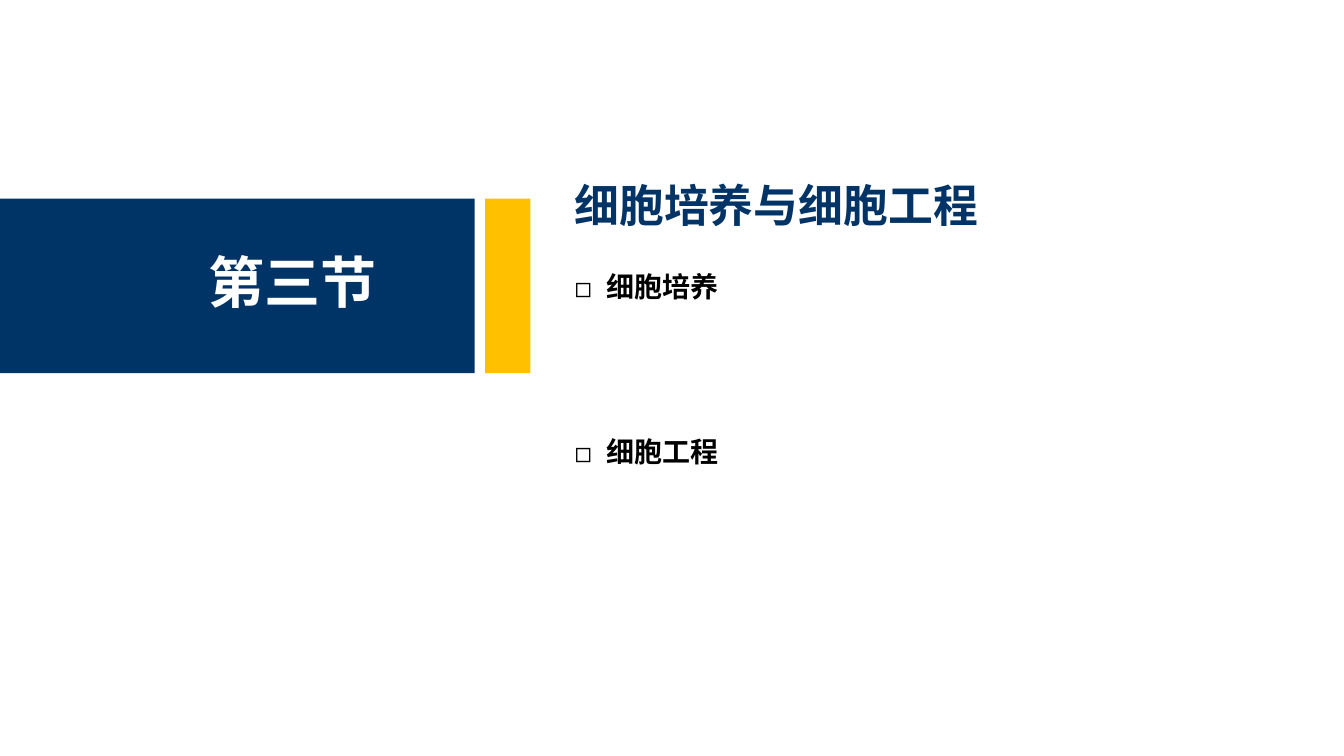
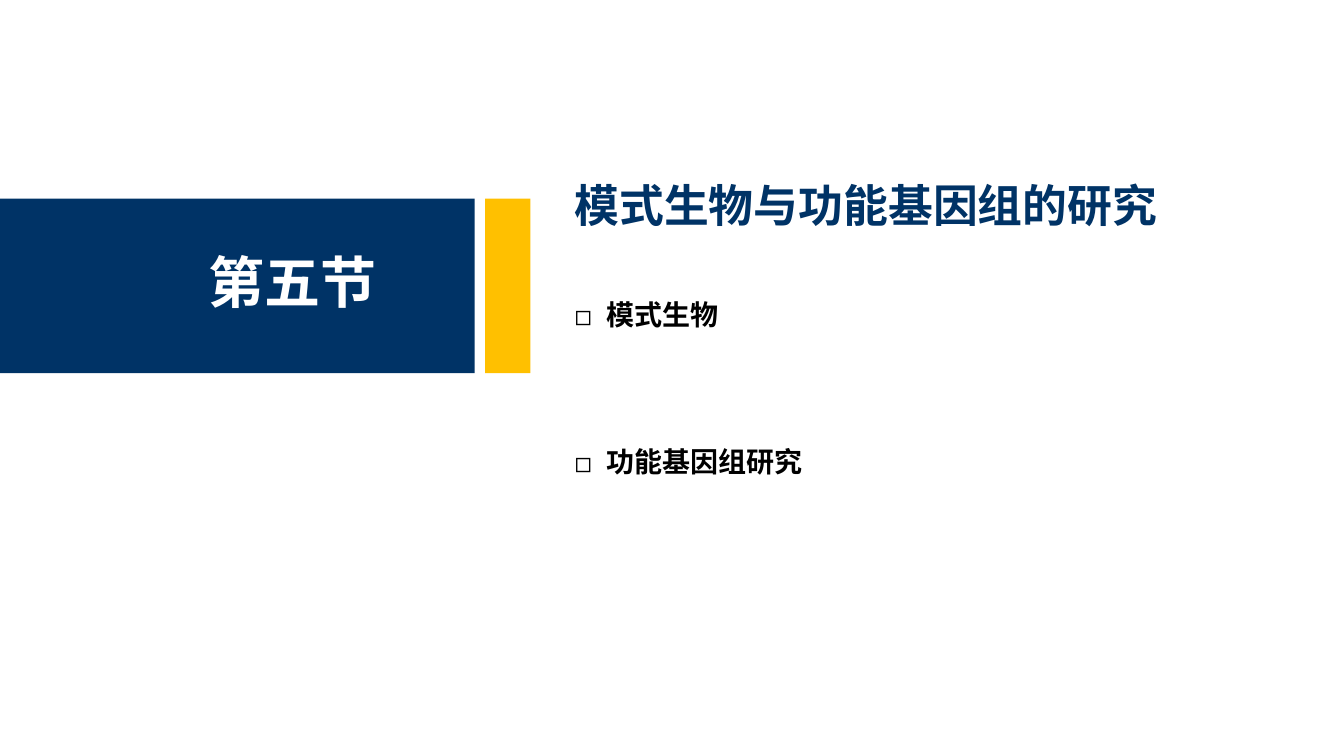
from dataclasses import dataclass

from lxml.etree import SubElement
from pptx import Presentation
from pptx.dml.color import RGBColor as RGB
from pptx.enum.shapes import MSO_SHAPE as SHAPE
from pptx.enum.text import MSO_ANCHOR as ANCHOR, MSO_AUTO_SIZE as AUTO, PP_ALIGN as ALIGN
from pptx.oxml.ns import qn
from pptx.util import Pt

SECTIONS = [
    {"label": "第三节", "title": "细胞培养与细胞工程",
     "topics": ["细胞培养", "细胞工程"], "top": 192.3, "gap": 93.8},
    {"label": "第五节", "title": "模式生物与功能基因组的研究",
     "topics": ["模式生物", "功能基因组研究"], "top": 212.6, "gap": 80.7},
]


@dataclass(frozen=True)
class Theme:
    font: str = "Noto Sans CJK SC"
    navy: RGB = RGB(0x00, 0x33, 0x66)
    gold: RGB = RGB(0xFF, 0xC0, 0x00)
    black: RGB = RGB(0x00, 0x00, 0x00)
    white: RGB = RGB(0xFF, 0xFF, 0xFF)
    label_size: int = 40
    title_size: int = 32
    topic_size: int = 20
    bullet: str = "◻"
    indent: float = 22.5


T = Theme()
BAND_TOP, BAND_HEIGHT = 141.8, 124.7
BANDS = [(0, 339, T.navy), (346.5, 32.3, T.gold)]
LABEL_BOX = (149, 168, 122, 66)
TITLE_BOX = (410.4, 119, 480, 54)
TOPIC_LEFT, TOPIC_WIDTH, TOPIC_HEIGHT = 410.4, 480, 170


def place(sp, left, top, width, height):
    sp.left, sp.top, sp.width, sp.height = map(Pt, (left, top, width, height))


def set_frame(sp, anchor):
    tf = sp.text_frame
    tf.word_wrap = True
    tf.auto_size = AUTO.NONE
    tf.vertical_anchor = anchor
    tf.margin_left = tf.margin_right = tf.margin_top = tf.margin_bottom = 0
    return tf


def add_run(p, text, size, color):
    p.alignment = ALIGN.LEFT
    r = p.add_run()
    r.text = text
    r.font.size = Pt(size)
    r.font.bold = True
    r.font.color.rgb = color
    r.font.name = T.font
    SubElement(r.font._element, qn("a:ea"), typeface=T.font)


def add_bands(s):
    for left, width, color in BANDS:
        sp = s.shapes.add_shape(SHAPE.RECTANGLE, Pt(left), Pt(BAND_TOP),
                                Pt(width), Pt(BAND_HEIGHT))
        sp.shadow.inherit = False
        sp.fill.solid()
        sp.fill.fore_color.rgb = color
        sp.line.fill.background()


def add_label(s, text):
    sp = s.shapes.add_textbox(*map(Pt, LABEL_BOX))
    tf = set_frame(sp, ANCHOR.MIDDLE)
    add_run(tf.paragraphs[0], text, T.label_size, T.white)


def fill_title(s, text):
    sp = s.shapes.title
    place(sp, *TITLE_BOX)
    tf = set_frame(sp, ANCHOR.MIDDLE)
    add_run(tf.paragraphs[0], text, T.title_size, T.navy)


def fill_topics(s, topics, top, gap):
    sp = s.placeholders[1]
    place(sp, TOPIC_LEFT, top, TOPIC_WIDTH, TOPIC_HEIGHT)
    tf = set_frame(sp, ANCHOR.TOP)
    for i, topic in enumerate(topics):
        p = tf.add_paragraph() if i else tf.paragraphs[0]
        pPr = p._p.get_or_add_pPr()
        pPr.set("marL", str(Pt(T.indent)))
        pPr.set("indent", str(-Pt(T.indent)))
        SubElement(pPr, qn("a:buFont"), typeface=T.font)
        SubElement(pPr, qn("a:buChar"), char=T.bullet)
        p.space_before = Pt(gap if i else 0)
        add_run(p, topic, T.topic_size, T.black)


def main():
    prs = Presentation()
    prs.slide_width, prs.slide_height = Pt(960), Pt(540)
    for section in SECTIONS:
        s = prs.slides.add_slide(prs.slide_layouts[1])
        add_bands(s)
        add_label(s, section["label"])
        fill_title(s, section["title"])
        fill_topics(s, section["topics"], section["top"], section["gap"])
    prs.save("out.pptx")


if __name__ == "__main__":
    main()
